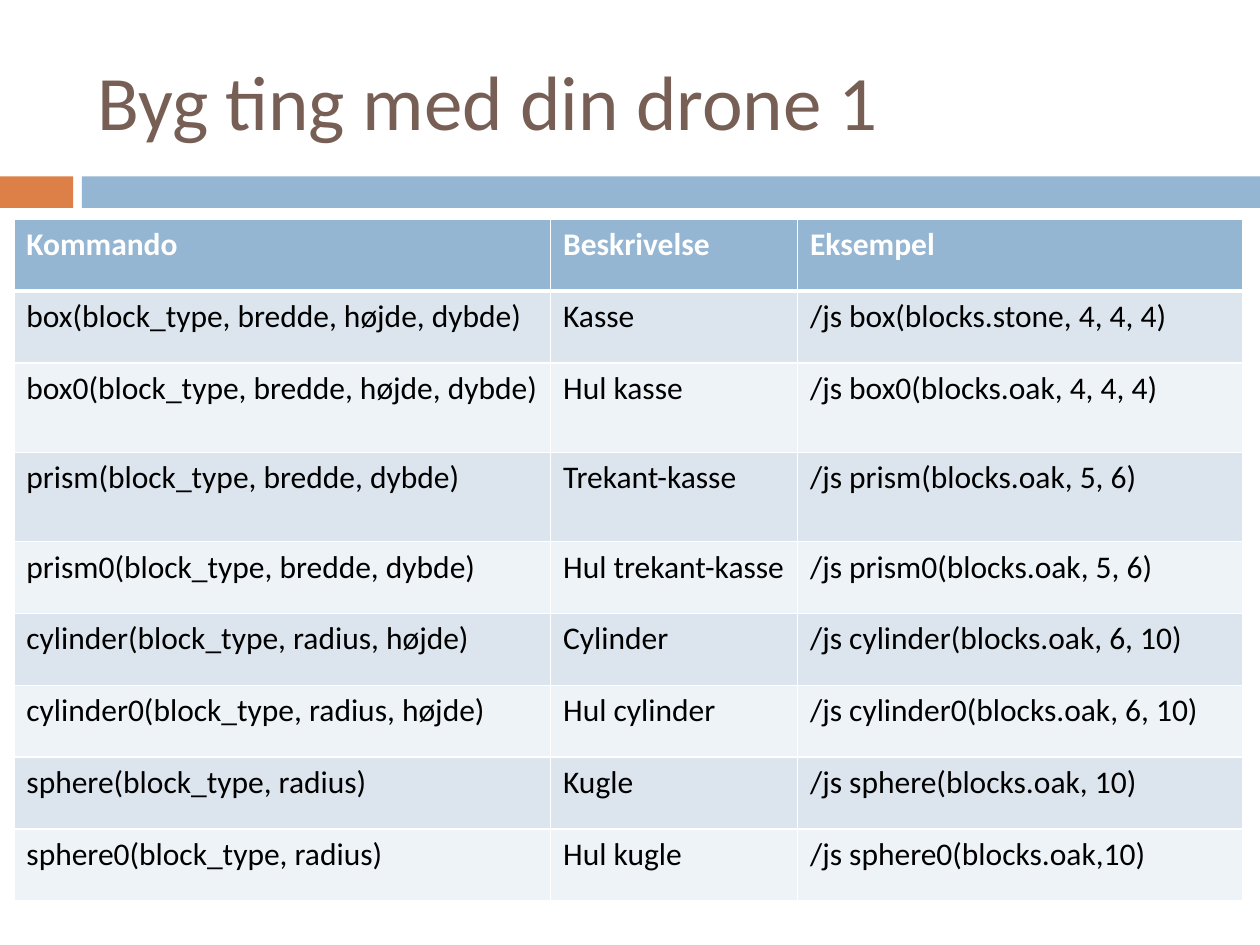
from lxml.etree import SubElement
from pptx import Presentation
from pptx.dml.color import RGBColor
from pptx.enum.shapes import MSO_SHAPE
from pptx.enum.text import MSO_ANCHOR, PP_ALIGN
from pptx.oxml.ns import qn
from pptx.util import Inches, Pt

HUES = {
    "title": "775F55",
    "accent": "DD8047",
    "head": "94B6D2",
    "odd": "DCE5EE",
    "even": "EEF3F7",
    "white": "FFFFFF",
    "black": "000000",
}
ROWS = [
    ("Kommando", "Beskrivelse", "Eksempel"),
    ("box(block_type, bredde, højde, dybde)", "Kasse", "/js box(blocks.stone, 4, 4, 4)"),
    ("box0(block_type, bredde, højde, dybde)", "Hul kasse", "/js box0(blocks.oak, 4, 4, 4)"),
    ("prism(block_type, bredde, dybde)", "Trekant-kasse", "/js prism(blocks.oak, 5, 6)"),
    ("prism0(block_type, bredde, dybde)", "Hul trekant-kasse", "/js prism0(blocks.oak, 5, 6)"),
    ("cylinder(block_type, radius, højde)", "Cylinder", "/js cylinder(blocks.oak, 6, 10)"),
    ("cylinder0(block_type, radius, højde)", "Hul cylinder", "/js cylinder0(blocks.oak, 6, 10)"),
    ("sphere(block_type, radius)", "Kugle", "/js sphere(blocks.oak, 10)"),
    ("sphere0(block_type, radius)", "Hul kugle", "/js sphere0(blocks.oak,10)"),
]
WIDTHS = [4.26, 1.96, 3.53]
HEIGHTS = [0.57, 0.57, 0.71, 0.71] + [0.57] * 5


def style(par, hue, size, bold=False):
    font = par.runs[0].font
    for key, val in {"name": "Calibri", "size": Pt(size), "bold": bold}.items():
        setattr(font, key, val)
    font.color.rgb = RGBColor.from_string(HUES[hue])


def edge(cell, side, width):
    line = SubElement(cell._tc.get_or_add_tcPr(), qn(f"a:ln{side}"), w=str(Pt(width)))
    fill = SubElement(line, qn("a:solidFill"))
    SubElement(fill, qn("a:srgbClr"), val=HUES["white"])


deck = Presentation()
deck.slide_width, deck.slide_height = Inches(10), Inches(7.5)
slide = deck.slides.add_slide(deck.slide_layouts[5])

for left, width, hue in [(0, 0.58, "accent"), (0.65, 9.35, "head")]:
    bar = slide.shapes.add_shape(
        MSO_SHAPE.RECTANGLE, Inches(left), Inches(1.4), Inches(width), Inches(0.25))
    bar.shadow.inherit = False
    bar.fill.solid()
    bar.fill.fore_color.rgb = RGBColor.from_string(HUES[hue])
    bar.line.fill.background()

title = slide.shapes.title
place = {"left": 0.67, "top": 0.25, "width": 8.92, "height": 1.08}
for key, val in place.items():
    setattr(title, key, Inches(val))
title.text_frame.text = "Byg ting med din drone 1"
title.text_frame.vertical_anchor = MSO_ANCHOR.MIDDLE
title.text_frame.paragraphs[0].alignment = PP_ALIGN.LEFT
style(title.text_frame.paragraphs[0], "title", 44)

table = slide.shapes.add_table(
    len(ROWS), len(WIDTHS), Inches(0.11), Inches(1.74),
    Inches(sum(WIDTHS)), Inches(sum(HEIGHTS))).table
for col, width in zip(table.columns, WIDTHS):
    col.width = Inches(width)
for row, height in zip(table.rows, HEIGHTS):
    row.height = Inches(height)

for r, row in enumerate(ROWS):
    head = r == 0
    hue = "head" if head else "odd" if r % 2 else "even"
    sides = {"L": 1, "R": 1, "T": 3 if r == 1 else 1, "B": 3 if head else 1}
    for c, text in enumerate(row):
        cell = table.cell(r, c)
        cell.text = text
        style(cell.text_frame.paragraphs[0], "white" if head else "black", 18, head)
        for side, width in sides.items():
            edge(cell, side, width)
        cell.fill.solid()
        cell.fill.fore_color.rgb = RGBColor.from_string(HUES[hue])

deck.save("out.pptx")
